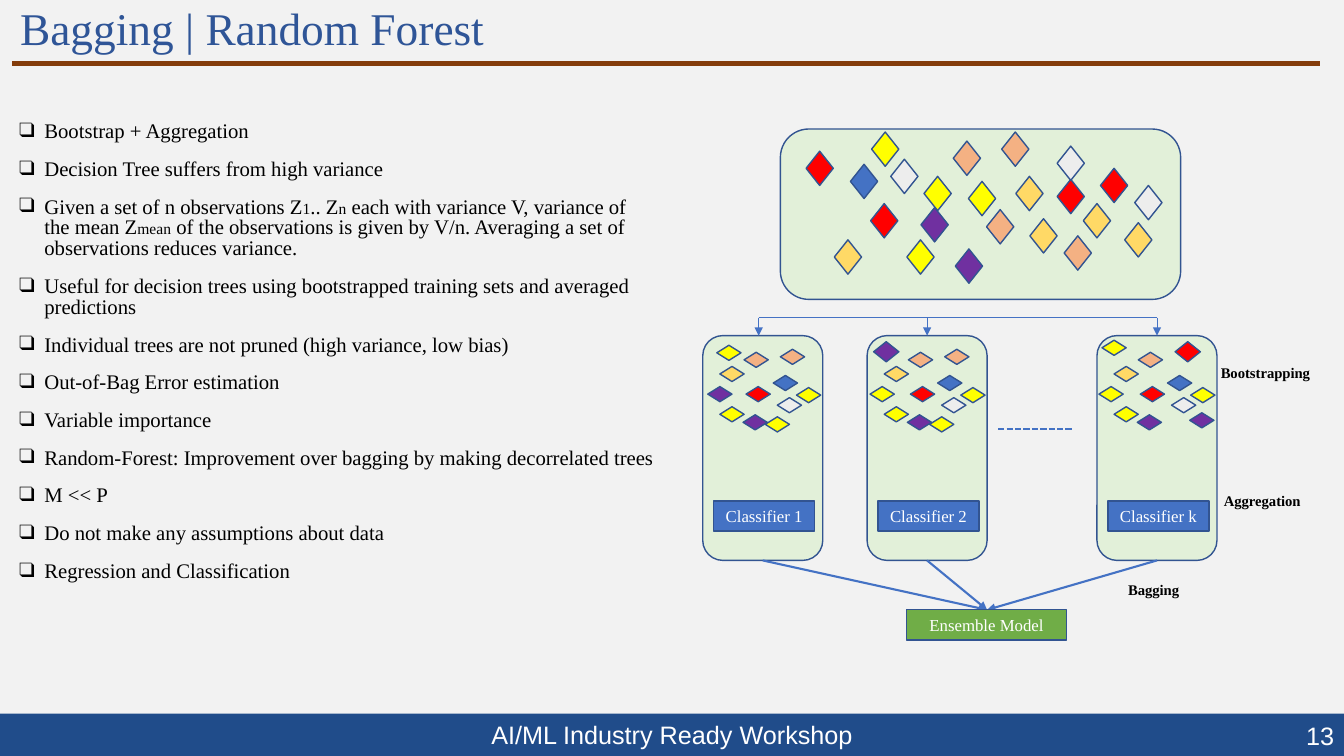
from lxml import etree
from pptx import Presentation
from pptx.dml.color import RGBColor
from pptx.enum.dml import MSO_LINE
from pptx.enum.shapes import MSO_CONNECTOR, MSO_SHAPE
from pptx.enum.text import MSO_ANCHOR, PP_ALIGN
from pptx.oxml.ns import qn
from pptx.util import Inches, Pt

STRAIGHT = MSO_CONNECTOR.STRAIGHT
RECTANGLE, ROUNDED = MSO_SHAPE.RECTANGLE, MSO_SHAPE.ROUNDED_RECTANGLE
DIAMOND = MSO_SHAPE.DIAMOND
TOP, MIDDLE = MSO_ANCHOR.TOP, MSO_ANCHOR.MIDDLE
LEFT, CENTER, RIGHT = PP_ALIGN.LEFT, PP_ALIGN.CENTER, PP_ALIGN.RIGHT
DASH = MSO_LINE.SQUARE_DOT

BACKGROUND = RGBColor(0xF2, 0xF2, 0xF2)
NAVY = RGBColor(0x20, 0x4C, 0x8A)
TITLE_BLUE = RGBColor(0x2F, 0x55, 0x97)
BROWN = RGBColor(0x84, 0x3C, 0x0B)
OUTLINE = RGBColor(0x32, 0x54, 0x91)
PALE_GREEN = RGBColor(0xE2, 0xF0, 0xD9)
GREEN = RGBColor(0x70, 0xAD, 0x47)
BLUE = RGBColor(0x44, 0x72, 0xC4)
GRAY = RGBColor(0xED, 0xED, 0xED)
YELLOW = RGBColor(0xFF, 0xFF, 0x00)
RED = RGBColor(0xFF, 0x00, 0x00)
GOLD = RGBColor(0xFF, 0xD9, 0x66)
ORANGE = RGBColor(0xF4, 0xB1, 0x83)
PURPLE = RGBColor(0x70, 0x30, 0xA0)
BLACK = RGBColor(0x00, 0x00, 0x00)
WHITE = RGBColor(0xFF, 0xFF, 0xFF)

SERIF, SANS = "Times New Roman", "Arial"
BODY_SIZE, SMALL_SIZE = 14.8, 11.1

# Each bullet is a list of pieces; every second piece is set small.
BULLETS = [
    ["Bootstrap + Aggregation"],
    ["Decision Tree suffers from high variance"],
    ["Given a set of n observations Z", "1", ".. Z", "n",
     " each with variance V, variance of the mean Z", "mean",
     " of the observations is given by V/n. Averaging a set of observations reduces variance."],
    ["Useful for decision trees using bootstrapped training sets and averaged predictions"],
    ["Individual trees are not pruned (high variance, low bias)"],
    ["Out-of-Bag Error estimation"],
    ["Variable importance"],
    ["Random-Forest: Improvement over bagging by making decorrelated trees"],
    ["M << P"],
    ["Do not make any assumptions about data"],
    ["Regression and Classification"],
]

# Diamond centres, from the top left corner of their panel.
POPULATION = [
    (0.83, 0.52, BLUE), (1.23, 0.47, GRAY), (1.56, 0.64, YELLOW), (1.03, 0.91, RED),
    (2.47, 0.64, GOLD), (1.85, 0.29, ORANGE), (1.53, 0.95, PURPLE), (1.39, 1.27, YELLOW),
    (2.18, 0.97, ORANGE), (2.61, 1.06, GOLD), (2.88, 0.67, RED), (2.88, 0.34, GRAY),
    (2.00, 0.69, YELLOW), (3.14, 0.91, GOLD), (2.33, 0.20, ORANGE), (1.87, 1.36, PURPLE),
    (2.95, 1.23, ORANGE), (3.55, 1.10, GOLD), (3.31, 0.56, RED), (3.65, 0.73, GRAY),
    (0.39, 0.39, RED), (1.04, 0.20, YELLOW), (0.67, 1.27, GOLD),
]
COMMON_SAMPLE = [
    (0.82, 0.47, BLUE), (0.86, 0.69, GRAY), (0.55, 0.58, RED), (0.52, 0.86, PURPLE),
    (0.29, 0.78, YELLOW), (0.53, 0.24, ORANGE), (1.05, 0.59, YELLOW), (0.29, 0.38, GOLD),
]
FIRST_TWO = [(0.74, 0.88, YELLOW), (0.89, 0.21, ORANGE)]
CLASSIFIERS = [
    ("Classifier 1", 6.97, FIRST_TWO + [(0.26, 0.17, YELLOW), (0.17, 0.58, PURPLE)], []),
    ("Classifier 2", 8.60, FIRST_TWO + [(0.15, 0.58, YELLOW)], [(0.19, 0.16, PURPLE)]),
    ("Classifier k", 10.88, [(0.17, 0.12, YELLOW), (0.14, 0.58, YELLOW),
                             (1.04, 0.84, PURPLE)], [(0.90, 0.16, RED)]),
]
PANEL_TOP, PANEL_WIDTH, PANEL_HEIGHT = 3.33, 1.19, 2.23


def inches(*lengths):
    return [Inches(length) for length in lengths]


def format_font(font, size, color, name=SERIF, bold=False):
    font.name, font.size, font.bold = name, Pt(size), bold
    font.color.rgb = color


def write_line(shape, text, size, color, name=SERIF, align=LEFT, anchor=TOP, bold=False):
    frame = shape.text_frame
    frame.text, frame.word_wrap, frame.vertical_anchor = text, True, anchor
    paragraph = frame.paragraphs[0]
    paragraph.alignment = align
    format_font(paragraph.runs[0].font, size, color, name, bold)


def add_label(slide, box, text, size, color, **style):
    write_line(slide.shapes.add_textbox(*inches(*box)), text, size, color, **style)


def add_block(slide, kind, box, fill, line=OUTLINE):
    shape = slide.shapes.add_shape(kind, *inches(*box))
    shape.shadow.inherit = False
    shape.fill.solid()
    shape.fill.fore_color.rgb = fill
    if line is None:
        shape.line.fill.background()
    else:
        shape.line.color.rgb, shape.line.width = line, Pt(1)
    return shape


def add_line(slide, start, end, color, width, arrow=False, dash=None):
    connector = slide.shapes.add_connector(STRAIGHT, *inches(*start, *end))
    connector.line.color.rgb, connector.line.width = color, Pt(width)
    if dash is not None:
        connector.line.dash_style = dash
    if arrow:
        etree.SubElement(connector.line._get_or_add_ln(), qn("a:tailEnd"), type="triangle")
    etree.SubElement(connector._element.spPr, qn("a:effectLst"))


def place(shape, box):
    shape.left, shape.top, shape.width, shape.height = inches(*box)


def add_frame(slide):
    """Footer bar, slide number and title rule."""
    footer = add_block(slide, RECTANGLE, (0, 7.08, 13.33, 0.42), NAVY, None)
    write_line(footer, "AI/ML Industry Ready Workshop", 18, WHITE, SANS, CENTER, MIDDLE)
    add_label(slide, (10.33, 7.1, 3, 0.4), "13", 18, WHITE, name=SANS, align=RIGHT)
    add_line(slide, (0.12, 0.63), (13.09, 0.63), BROWN, 3)


def fill_title(title, box):
    place(title, box)
    write_line(title, "Bagging | Random Forest", 32.4, TITLE_BLUE, anchor=MIDDLE)
    title.text_frame.paragraphs[0].line_spacing = 0.9


def fill_bullets(body, box):
    place(body, box)
    body.fill.solid()
    body.fill.fore_color.rgb = BACKGROUND
    frame = body.text_frame
    frame.word_wrap = True
    for index, pieces in enumerate(BULLETS):
        paragraph = frame.add_paragraph() if index else frame.paragraphs[0]
        properties = paragraph._p.get_or_add_pPr()
        properties.set("marL", str(Inches(0.25)))
        properties.set("indent", str(-Inches(0.25)))
        etree.SubElement(properties, qn("a:buFont"), typeface=SERIF)
        etree.SubElement(properties, qn("a:buChar"), char="❑")
        paragraph.line_spacing = 0.84
        paragraph.space_before = Pt(6 if index else 0)
        paragraph.space_after = Pt(6)
        for position, piece in enumerate(pieces):
            run = paragraph.add_run()
            run.text = piece
            format_font(run.font, SMALL_SIZE if position % 2 else BODY_SIZE, BLACK)


def add_diamonds(slide, left, top, diamonds, width, height):
    for x, y, color in diamonds:
        box = (left + x - width / 2, top + y - height / 2, width, height)
        add_block(slide, DIAMOND, box, color)


def add_population(slide, left, top, width, height):
    add_block(slide, ROUNDED, (left, top, width, height), PALE_GREEN)
    add_diamonds(slide, left, top, POPULATION, 0.27, 0.34)


def add_classifier(slide, left, top, name, sample, large_sample):
    add_block(slide, ROUNDED, (left, top, PANEL_WIDTH, PANEL_HEIGHT), PALE_GREEN)
    add_diamonds(slide, left, top, COMMON_SAMPLE + sample, 0.24, 0.15)
    add_diamonds(slide, left, top, large_sample, 0.25, 0.2)
    button = add_block(slide, RECTANGLE, (left + 0.11, top + 1.64, 1, 0.3), BLUE)
    write_line(button, name, 12, WHITE, align=CENTER, anchor=MIDDLE)


def add_bagging_diagram(slide):
    add_population(slide, 7.74, 1.28, 3.97, 1.69)
    branch_y, ensemble_top, ensemble_x = PANEL_TOP - 0.18, 6.05, 9.79
    centers = [left + PANEL_WIDTH / 2 for _, left, _, _ in CLASSIFIERS]
    centers[0] -= 0.04
    add_line(slide, (centers[0], branch_y), (centers[-1], branch_y), BLUE, 0.5)
    for center, (name, left, sample, large_sample) in zip(centers, CLASSIFIERS):
        add_classifier(slide, left, PANEL_TOP, name, sample, large_sample)
        add_line(slide, (center, branch_y), (center, PANEL_TOP), BLUE, 0.5, arrow=True)
        add_line(slide, (left + PANEL_WIDTH / 2, PANEL_TOP + PANEL_HEIGHT),
                 (ensemble_x, ensemble_top), BLUE, 1.5, arrow=True)
    add_line(slide, (9.9, 4.26), (10.65, 4.26), BLUE, 1.5, dash=DASH)
    ensemble = add_block(slide, RECTANGLE, (8.99, ensemble_top, 1.59, 0.3), GREEN)
    write_line(ensemble, "Ensemble Model", 12, WHITE, align=CENTER, anchor=MIDDLE)
    for text, left, top in (("Bootstrapping", 12.01, 3.56), ("Aggregation", 12.04, 4.83),
                            ("Bagging", 11.09, 5.71)):
        add_label(slide, (left, top, 1.13, 0.29), text, 10.5, BLACK, bold=True)


def main():
    presentation = Presentation()
    presentation.slide_width, presentation.slide_height = inches(13.33, 7.5)
    slide = presentation.slides.add_slide(presentation.slide_layouts[1])
    slide.background.fill.solid()
    slide.background.fill.fore_color.rgb = BACKGROUND
    add_frame(slide)
    fill_title(slide.shapes.title, (0.1, 0.07, 13.13, 0.48))
    fill_bullets(slide.placeholders[1], (0.09, 1.16, 6.52, 4.88))
    add_bagging_diagram(slide)
    presentation.save("out.pptx")


if __name__ == "__main__":
    main()
